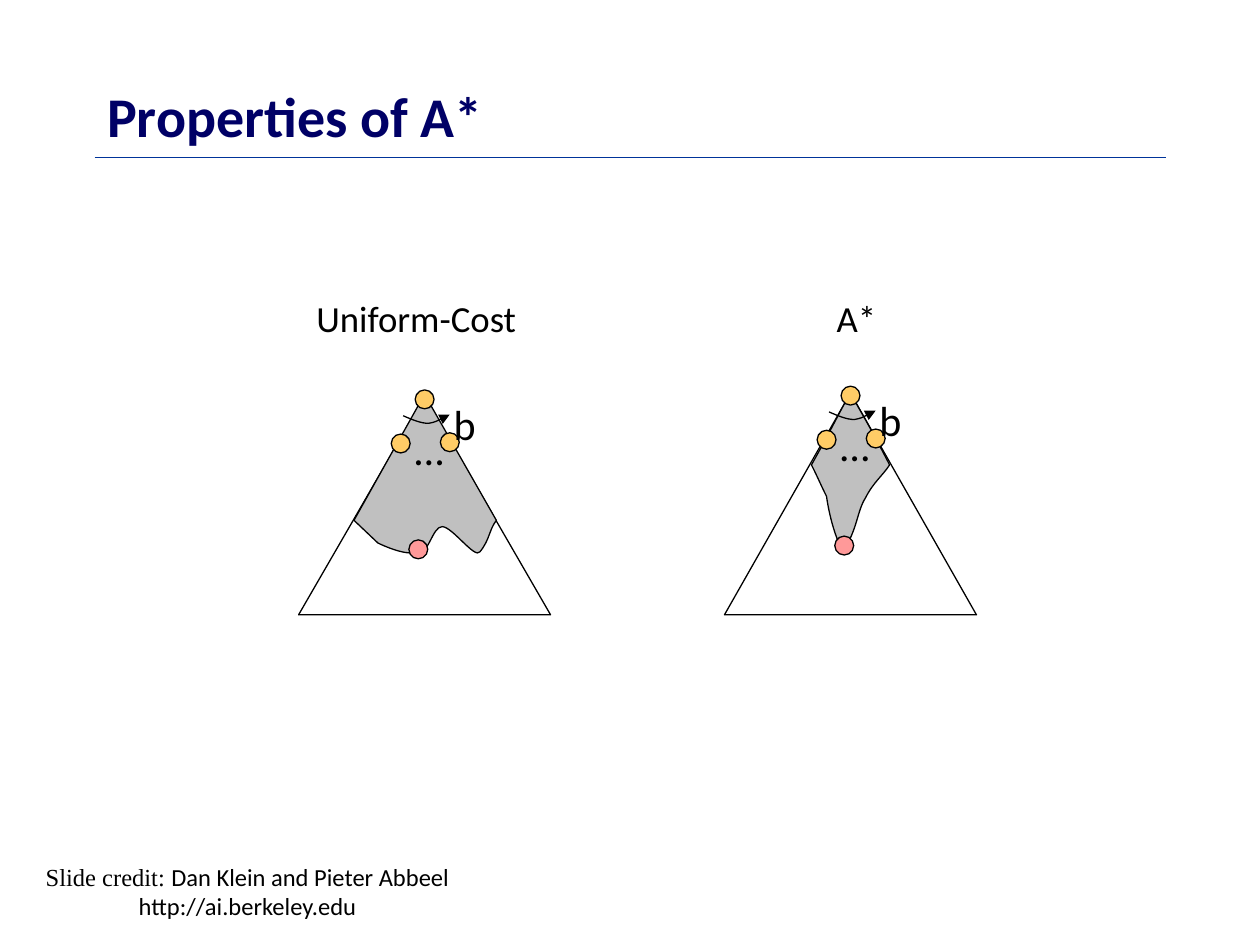
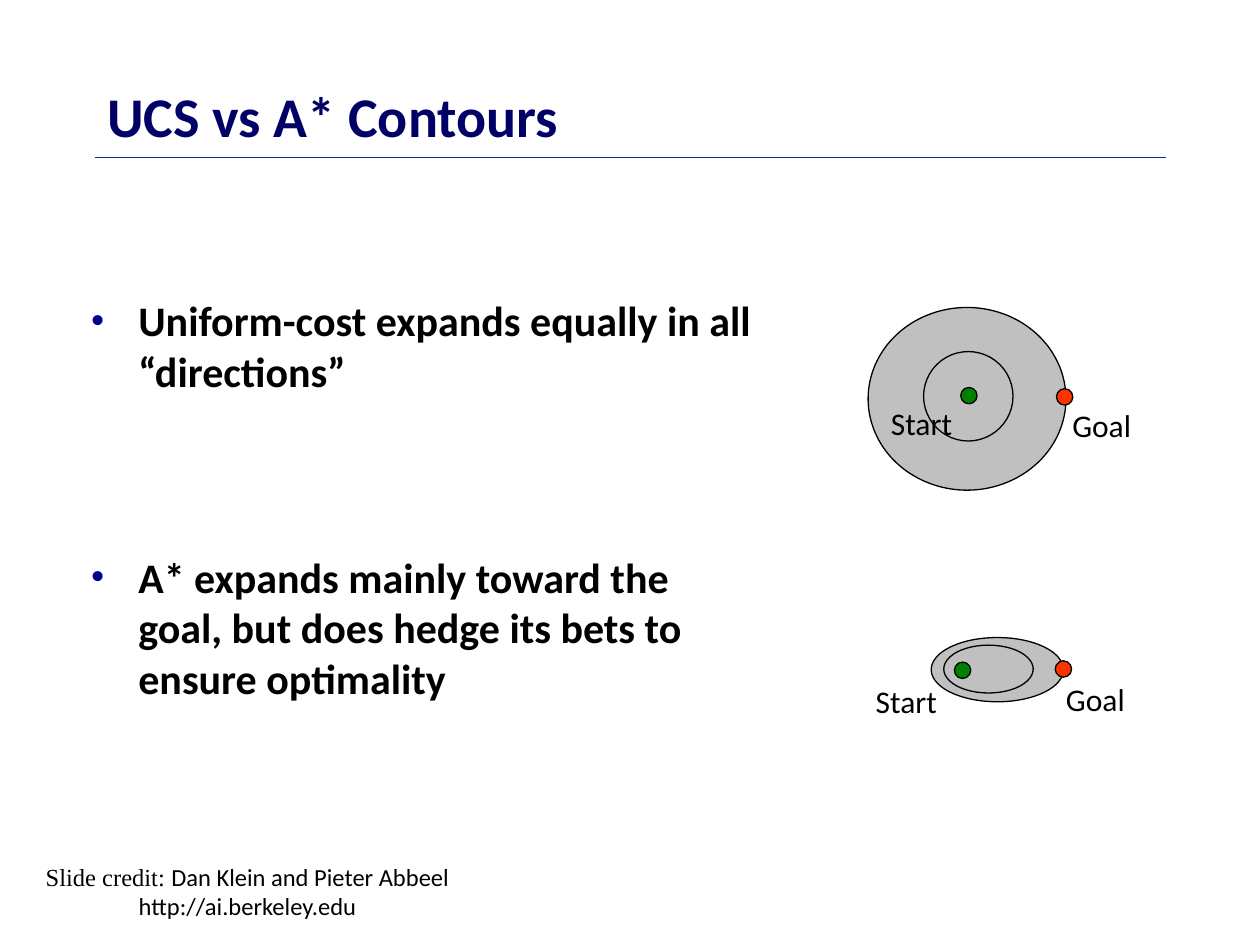
from lxml.etree import SubElement
from pptx import Presentation
from pptx.dml.color import RGBColor
from pptx.enum.shapes import MSO_CONNECTOR, MSO_SHAPE
from pptx.enum.text import MSO_ANCHOR, MSO_AUTO_SIZE, PP_ALIGN
from pptx.oxml.ns import qn
from pptx.util import Inches, Pt

COLORS = {
    "title": "000066", "rule": "003399", "ink": "000000", "bullet": "000099",
    "explored": "C0C0C0", "frontier": "FFCC66", "found": "FF9999",
    "start": "008000", "goal": "FF3300",
}
FORMATS = {
    "title": {"name": "Calibri", "size": Pt(32), "bold": True},
    "body": {"name": "Calibri", "size": Pt(24), "bold": True},
    "heading": {"name": "Calibri", "size": Pt(21)},
    "mark": {"name": "Calibri", "size": Pt(24)},
    "label": {"name": "Calibri", "size": Pt(18)},
    "credit": {"name": "Times New Roman", "size": Pt(14)},
    "author": {"name": "Calibri", "size": Pt(14)},
}
WIDE_INSETS = (0.1, 0.05)
SLIM_INSETS = (0.07, 0.04)


class Deck:
    def __init__(self):
        self.prs = Presentation()
        self.prs.slide_width, self.prs.slide_height = Inches(10), Inches(7.5)
        self.layout = self.prs.slide_layouts[5]
        self.slide = None

    # Shared slide parts
    def new_slide(self, title):
        first = self.slide is None
        self.slide = self.prs.slides.add_slide(self.layout)
        if first:
            self.layout_rule((0.75, 1.25), (9.25, 1.25))
        heading = self.slide.shapes.title
        self.place(heading, 0.75, 0.66, 8.5, 0.5)
        self.frame(heading, WIDE_INSETS, MSO_ANCHOR.MIDDLE)
        self.paragraph(heading.text_frame.paragraphs[0], [(title, "title")], "title")
        self.credit()

    def credit(self):
        box = self.text_box(0.25, 6.79, 3.43, 0.57, WIDE_INSETS,
                            MSO_ANCHOR.MIDDLE, wrap=False)
        lines = [[("Slide credit: ", "credit"), ("Dan Klein and Pieter Abbeel", "author")],
                 [("http://ai.berkeley.edu", "author")]]
        first = box.text_frame.paragraphs[0]
        for line, paragraph in zip(lines, (first, box.text_frame.add_paragraph())):
            self.paragraph(paragraph, line, align=PP_ALIGN.CENTER)

    def layout_rule(self, begin, end):
        """Draw the line under the title and move it to the shared layout."""
        rule = self.slide.shapes.add_connector(
            MSO_CONNECTOR.STRAIGHT, *map(Inches, begin + end))
        rule.line.color.rgb = RGBColor.from_string(COLORS["rule"])
        rule.line.width = Pt(1)
        element = rule._element
        SubElement(element.spPr, qn("a:effectLst"))
        element.remove(element.find(qn("p:style")))
        self.layout.shapes._spTree.append(element)

    # Text
    def place(self, shape, left, top, width, height):
        bounds = {"left": left, "top": top, "width": width, "height": height}
        for side, value in bounds.items():
            setattr(shape, side, Inches(value))

    def frame(self, shape, insets, anchor, wrap=True):
        across, down = map(Inches, insets)
        settings = {
            "margin_left": across, "margin_right": across,
            "margin_top": down, "margin_bottom": down,
            "vertical_anchor": anchor, "word_wrap": wrap,
            "auto_size": MSO_AUTO_SIZE.NONE,
        }
        for key, value in settings.items():
            setattr(shape.text_frame, key, value)

    def text_box(self, left, top, width, height, insets=SLIM_INSETS,
                 anchor=MSO_ANCHOR.TOP, wrap=True):
        box = self.slide.shapes.add_textbox(
            *map(Inches, (left, top, width, height)))
        self.frame(box, insets, anchor, wrap)
        return box

    def paragraph(self, paragraph, runs, color="ink", align=PP_ALIGN.LEFT):
        paragraph.alignment = align
        for words, style in runs:
            run = paragraph.add_run()
            run.text = words
            run.font.color.rgb = RGBColor.from_string(COLORS[color])
            for key, value in FORMATS[style].items():
                setattr(run.font, key, value)

    def text(self, words, style, left, top, width, height):
        box = self.text_box(left, top, width, height)
        self.paragraph(box.text_frame.paragraphs[0], [(words, style)])

    def bullets(self, items, left, top, width, height, gap):
        text = self.text_box(left, top, width, height, WIDE_INSETS).text_frame
        for index, item in enumerate(items):
            paragraph = text.add_paragraph() if index else text.paragraphs[0]
            props = paragraph._p.get_or_add_pPr()
            props.set("marL", str(Inches(0.38)))
            props.set("indent", str(Inches(-0.38)))
            tint = SubElement(props, qn("a:buClr"))
            SubElement(tint, qn("a:srgbClr"), val=COLORS["bullet"])
            SubElement(props, qn("a:buFont"), typeface="Times New Roman")
            SubElement(props, qn("a:buChar"), char="•")
            paragraph.space_before = Pt(gap if index else 0)
            self.paragraph(paragraph, [(item, "body")])

    # Drawing
    def paint(self, shape, fill):
        shape.shadow.inherit = False
        if fill:
            shape.fill.solid()
            shape.fill.fore_color.rgb = RGBColor.from_string(COLORS[fill])
        else:
            shape.fill.background()
        shape.line.color.rgb = RGBColor.from_string(COLORS["ink"])
        shape.line.width = Pt(0.75)

    def ellipse(self, left, top, width, height, fill=None):
        self.paint(self.slide.shapes.add_shape(
            MSO_SHAPE.OVAL, *map(Inches, (left, top, width, height))), fill)

    def dot(self, center, size, fill):
        x, y = center
        self.ellipse(x - size / 2, y - size / 2, size, size, fill)

    def outline(self, start, segments, fill=None, closed=True, arrow=False):
        """A segment holds one line end or the three points of a cubic curve."""
        builder = self.slide.shapes.build_freeform(*map(Inches, start))
        builder.add_line_segments(
            [tuple(map(Inches, point)) for segment in segments for point in segment],
            close=closed)
        shape = builder.convert_to_shape()
        self.paint(shape, fill)
        steps = iter(list(shape._element.iter(qn("a:lnTo"))))
        for segment in segments:
            own_steps = [next(steps) for _ in segment]
            if len(segment) == 3:
                self.bend(own_steps)
        if arrow:
            SubElement(shape.line._get_or_add_ln(), qn("a:tailEnd"), type="triangle")

    def bend(self, steps):
        """Turn three line steps into one cubic curve."""
        outline = steps[0].getparent()
        curve = SubElement(outline, qn("a:cubicBezTo"))
        steps[0].addprevious(curve)
        for step in steps:
            curve.append(step[0])
            outline.remove(step)

    # Diagrams
    def search_tree(self, name, name_left, name_width, root, explored):
        x, y = root

        def at(dx, dy):
            return x + dx, y + dy

        base = 4.88
        self.outline((x - 1, base), [((x + 1, base),), (at(0, -0.02),)])
        self.outline(*explored, "explored")
        for child in (at(-0.19, 0.35), at(0.2, 0.34)):
            self.dot(child, 0.15, "frontier")
        self.text("…", "mark", *at(-0.15, 0.15), 0.23, 0.48)
        self.outline(at(-0.17, 0.13), [
            (at(-0.1, 0.16), at(-0.03, 0.19), at(0.03, 0.19)),
            (at(0.09, 0.18), at(0.14, 0.15), at(0.2, 0.12))],
            closed=False, arrow=True)
        self.text("b", "mark", *at(0.16, -0.05), 0.24, 0.48)
        self.dot(at(-0.05, 1.19), 0.15, "found")
        self.dot(root, 0.15, "frontier")
        self.text(name, "heading", name_left, 2.31, name_width, 0.43)

    def contours(self, outer, inner, ends):
        self.ellipse(*outer, "explored")
        for name, (center, label) in ends.items():
            self.dot(center, 0.13, name.lower())
            self.text(name, "label", *label, 0.75, 0.38)
        self.ellipse(*inner)


def main():
    deck = Deck()

    # Search trees
    deck.new_slide("Properties of A*")
    uniform_explored = ((3.37, 3.13), [
        ((2.81, 4.13),), ((3, 4.31),),
        ((3, 4.31), (3.22, 4.42), (3.31, 4.38)),
        ((3.4, 4.42), (3.43, 4.18), (3.51, 4.18)),
        ((3.59, 4.18), (3.77, 4.44), (3.81, 4.38)),
        ((3.89, 4.28), (3.88, 4.21), (3.94, 4.13))])
    a_star_explored = ((6.75, 3.12), [
        ((6.64, 3.31), (6.63, 3.35), (6.44, 3.69)),
        ((6.5, 3.81), (6.51, 3.84), (6.56, 3.94)),
        ((6.56, 3.94), (6.59, 4.19), (6.69, 4.38)),
        ((6.81, 4.19), (6.8, 4.06), (6.87, 3.95)),
        ((6.93, 3.83), (7.01, 3.77), (7.06, 3.69)),
        ((6.88, 3.34), (6.83, 3.27), (6.75, 3.12))])
    deck.search_tree("Uniform-Cost", 2.44, 1.88, (3.37, 3.17), uniform_explored)
    deck.search_tree("A*", 6.57, 0.5, (6.75, 3.14), a_star_explored)

    # Contours
    deck.new_slide("UCS vs A* Contours")
    deck.bullets(["Uniform-cost expands equally in all “directions”",
                  "A* expands mainly toward the goal, but does hedge its bets "
                  "to ensure optimality"], 0.62, 2.29, 5.5, 3.71, gap=89)
    deck.contours((6.89, 2.44, 1.57, 1.45), (7.33, 2.79, 0.71, 0.71),
                  {"Start": ((7.69, 3.14), (7, 3.17)),
                   "Goal": ((8.45, 3.15), (8.44, 3.18))})
    deck.contours((7.39, 5.06, 1.05, 0.51), (7.49, 5.12, 0.71, 0.38),
                  {"Start": ((7.64, 5.32), (6.88, 5.37)),
                   "Goal": ((8.44, 5.31), (8.39, 5.36))})

    deck.prs.save("out.pptx")


if __name__ == "__main__":
    main()
